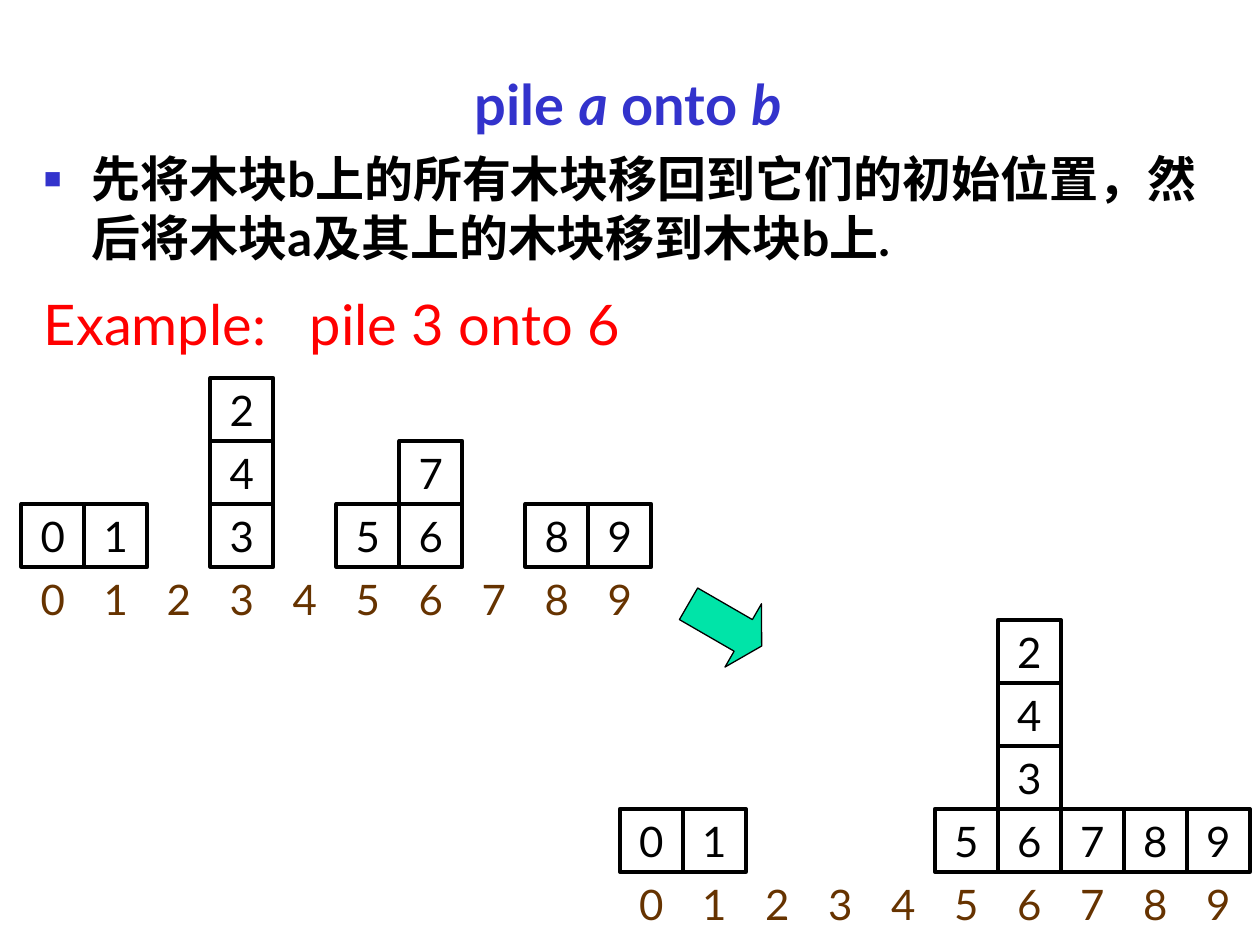
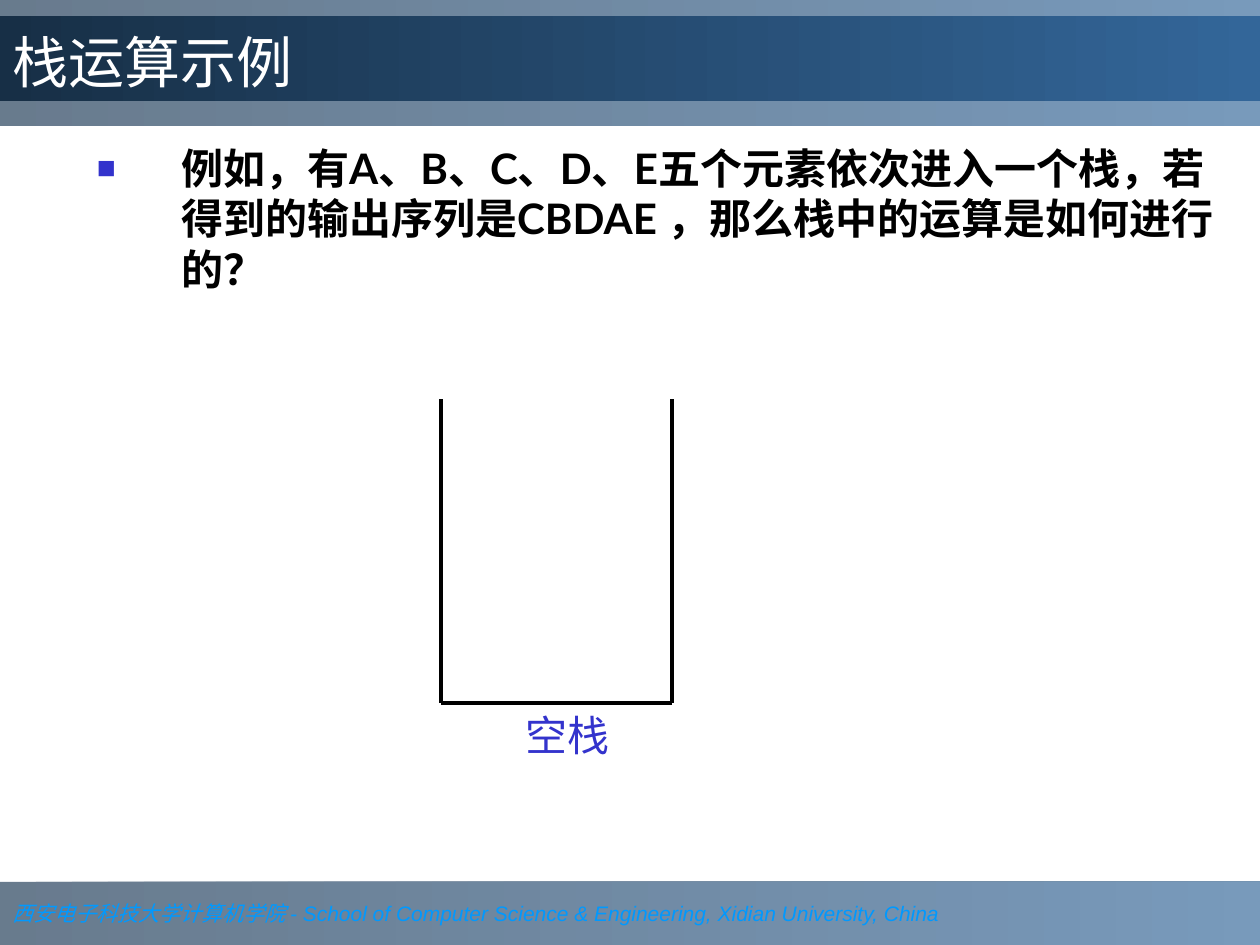
from lxml.etree import SubElement
from pptx import Presentation
from pptx.dml.color import RGBColor
from pptx.enum.shapes import MSO_CONNECTOR, MSO_SHAPE
from pptx.enum.text import MSO_ANCHOR, PP_ALIGN
from pptx.oxml.ns import qn
from pptx.util import Inches, Pt

COLOURS = {
    "ink": "000000",
    "accent": "3333CC",
    "example": "FF0000",
    "index": "663300",
    "arrow": "00E4A8",
    "footer": "0099FF",
    "white": "FFFFFF",
    "band_dark": "1B3753",
    "title_dark": "172F46",
    "band_light": "336699",
}
FONT = "Lato"
CELL = 0.5


def colour(name):
    """Return the named colour."""
    return RGBColor.from_string(COLOURS[name])


def style(font, size, ink, bold=False, italic=False, name=FONT):
    """Set the look of a font."""
    font.name = name
    font.size = Pt(size)
    font.color.rgb = colour(ink)
    font.bold = bold
    font.italic = italic


def add_text_box(page, left, top, width, height):
    """Add a wrapping text box and return its text frame."""
    box = page.shapes.add_textbox(Inches(left), Inches(top), Inches(width), Inches(height))
    box.text_frame.word_wrap = True
    return box.text_frame


def add_bullet(para, indent, percent):
    """Give a paragraph a square bullet, a hanging indent and no hanging punctuation."""
    props = para._p.get_or_add_pPr()
    props.set("marL", str(Inches(indent)))
    props.set("indent", str(-Inches(indent)))
    props.set("hangingPunct", "0")
    SubElement(SubElement(props, qn("a:buClr")), qn("a:srgbClr"), val=COLOURS["accent"])
    SubElement(props, qn("a:buSzPct"), val=str(percent * 1000))
    SubElement(props, qn("a:buFont"), typeface="Arial")
    SubElement(props, qn("a:buChar"), char="■")


def add_tab_stop(para, position):
    """Add a left tab stop to a paragraph."""
    tabs = SubElement(para._p.get_or_add_pPr(), qn("a:tabLst"))
    SubElement(tabs, qn("a:tab"), pos=str(Inches(position)), algn="l")


def add_digit(page, left, top, digit, ink, framed=False):
    """Add a centred digit, framed for a block or bare for an index."""
    place = [Inches(length) for length in (left, top, CELL, CELL)]
    if framed:
        box = page.shapes.add_shape(MSO_SHAPE.RECTANGLE, *place)
        box.shadow.inherit = False
        box.fill.background()
        box.line.color.rgb = colour("ink")
        box.line.width = Pt(2.25)
    else:
        box = page.shapes.add_textbox(*place)
    frame = box.text_frame
    frame.word_wrap = False
    frame.vertical_anchor = MSO_ANCHOR.MIDDLE
    para = frame.paragraphs[0]
    para.text = str(digit)
    para.alignment = PP_ALIGN.CENTER
    style(para.font, 24, ink)


def add_block_world(page, left, floor, stacks):
    """Draw stacks of blocks, listed bottom up, above the indexes 0 to 9."""
    for position in range(10):
        x = left + position * CELL
        for level, block in enumerate(stacks.get(position, []), start=1):
            add_digit(page, x, floor - level * CELL, block, "ink", framed=True)
        add_digit(page, x, floor, position, "index")


def add_arrow(page):
    """Draw the arrow from the first state to the second."""
    arrow = page.shapes.add_shape(
        MSO_SHAPE.RIGHT_ARROW, Inches(5.42), Inches(4.67), Inches(0.67), Inches(0.58))
    arrow.adjustments[1] = 0.29
    arrow.rotation = 30
    arrow.shadow.inherit = False
    arrow.fill.solid()
    arrow.fill.fore_color.rgb = colour("arrow")
    arrow.line.color.rgb = colour("ink")
    arrow.line.width = Pt(0.75)


def add_band(page, top, height, dark, opacity=100):
    """Draw a full-width band, dark at the left and light at the right."""
    band = page.shapes.add_shape(
        MSO_SHAPE.RECTANGLE, 0, Inches(top), Inches(10), Inches(height))
    band.shadow.inherit = False
    band.line.fill.background()
    band.fill.gradient()
    band.fill.gradient_angle = 0
    for stop, name, position in zip(band.fill.gradient_stops, (dark, "band_light"), (0, 1)):
        stop.color.rgb = colour(name)
        stop.position = position
    if opacity < 100:
        for tint in band._element.spPr.iter(qn("a:srgbClr")):
            SubElement(tint, qn("a:alpha"), val=str(opacity * 1000))
    para = band.text_frame.paragraphs[0]
    para.alignment = PP_ALIGN.LEFT
    return band.text_frame


def add_footer(page):
    """Draw the footer band with the school's name."""
    frame = add_band(page, 7, 0.5, "band_dark", 66)
    frame.vertical_anchor = MSO_ANCHOR.MIDDLE
    for text, name in (
        ("西安电子科技大学计算机学院 ", "Times New Roman"),
        ("- School of Computer Science & Engineering, Xidian University, China", "Arial"),
    ):
        span = frame.paragraphs[0].add_run()
        span.text = text
        style(span.font, 12, "footer", italic=True, name=name)


def add_title_band(page, text):
    """Draw the title on its pair of bands."""
    add_band(page, 0, 1, "band_dark", 66)
    frame = add_band(page, 0.13, 0.67, "title_dark")
    frame.vertical_anchor = MSO_ANCHOR.BOTTOM
    frame.paragraphs[0].text = text
    style(frame.paragraphs[0].font, 32, "white")


def add_line(page, start, end):
    """Draw a black line between two points."""
    line = page.shapes.add_connector(
        MSO_CONNECTOR.STRAIGHT, *[Inches(length) for length in (*start, *end)])
    line.line.color.rgb = colour("ink")
    line.line.width = Pt(2.25)
    SubElement(line._element.spPr, qn("a:effectLst"))


def build_pile_page(deck):
    """Build the page on piling one block onto another."""
    page = deck.slides.add_slide(deck.slide_layouts[6])
    frame = add_text_box(page, 0.25, 0.5, 9.58, 1.83)
    heading = frame.paragraphs[0]
    heading.alignment = PP_ALIGN.CENTER
    style(heading.font, 32, "accent", bold=True)
    for text, italic in (
            ("pile ", False), ("a", True), (" onto ", False), ("b", True), (" ", False)):
        span = heading.add_run()
        span.text = text
        span.font.italic = italic
    rule = frame.add_paragraph()
    rule.text = "先将木块b上的所有木块移回到它们的初始位置，然后将木块a及其上的木块移到木块b上."
    add_bullet(rule, 0.38, 60)
    rule.space_before = Pt(7)
    style(rule.font, 28, "ink", bold=True)

    example = add_text_box(page, 0.25, 2.25, 8, 0.75).paragraphs[0]
    example.text = "Example:\tpile 3 onto 6"
    add_tab_stop(example, 2.11)
    style(example.font, 32, "example")

    add_block_world(page, 0.17, 4.5, {
        0: [0], 1: [1], 3: [3, 4, 2], 5: [5], 6: [6, 7], 8: [8], 9: [9]})
    add_arrow(page)
    add_block_world(page, 4.92, 6.92, {
        0: [0], 1: [1], 5: [5], 6: [6, 3, 4, 2], 7: [7], 8: [8], 9: [9]})


def build_stack_page(deck):
    """Build the page on the stack example."""
    page = deck.slides.add_slide(deck.slide_layouts[6])
    add_footer(page)
    add_title_band(page, "栈运算示例")
    question = add_text_box(page, 0.67, 1.08, 9.13, 1.58).paragraphs[0]
    question.text = ("例如，有A、B、C、D、E五个元素依次进入一个栈，"
                     "若得到的输出序列是CBDAE ，那么栈中的运算是如何进行的？")
    add_bullet(question, 0.67, 75)
    style(question.font, 24, "ink", bold=True)

    left, right, top, bottom = 3.5, 5.33, 3.17, 5.58
    for x in (left, right):
        add_line(page, (x, top), (x, bottom))
    add_line(page, (left, bottom), (right, bottom))
    label = add_text_box(page, 3.92, bottom, 1.17, 0.5).paragraphs[0]
    label.text = "空栈"
    label.alignment = PP_ALIGN.CENTER
    style(label.font, 24, "accent")


def main():
    """Build the deck and save it."""
    deck = Presentation()
    deck.slide_width = Inches(10)
    deck.slide_height = Inches(7.5)
    build_pile_page(deck)
    build_stack_page(deck)
    deck.save("out.pptx")


if __name__ == "__main__":
    main()
